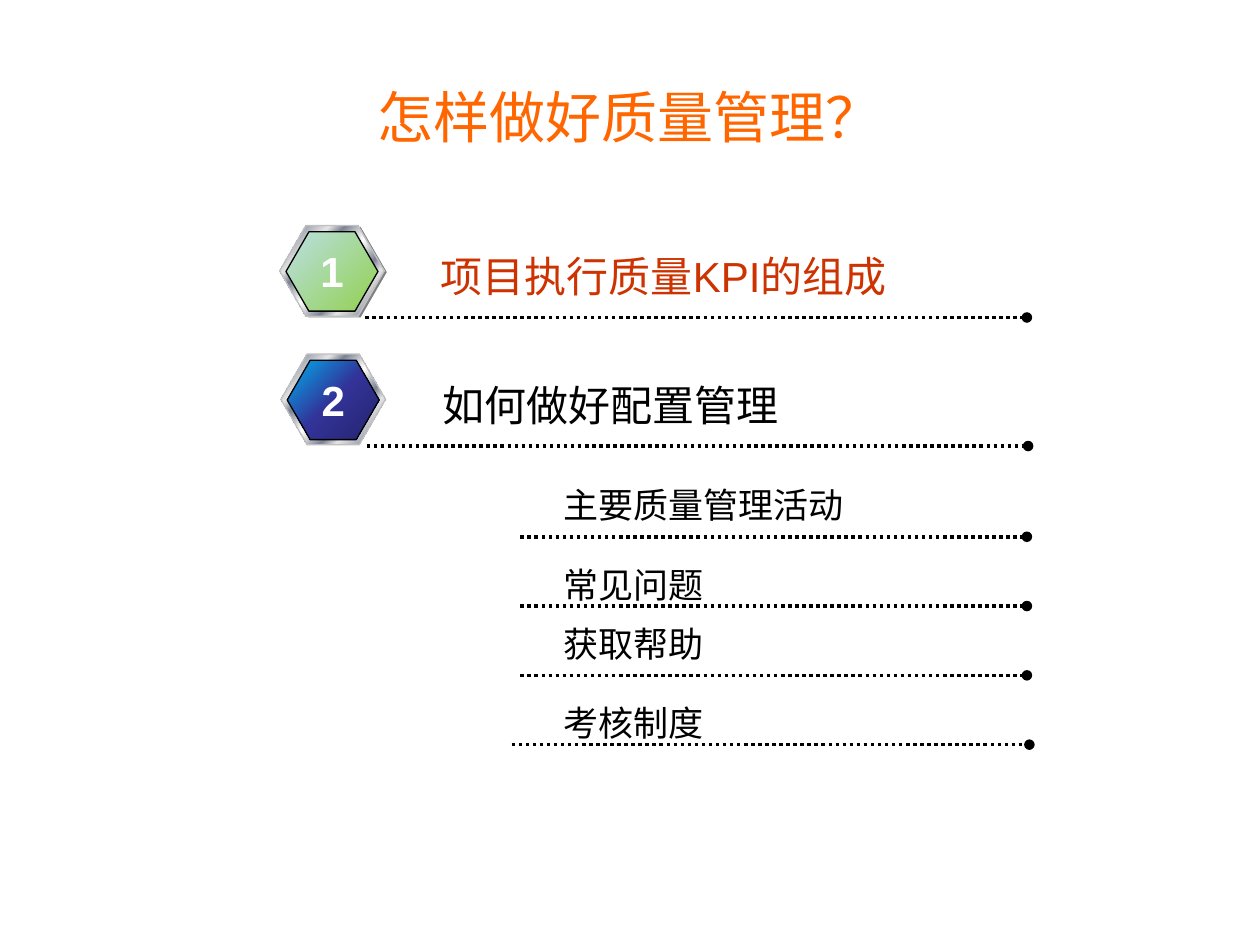
from lxml import etree
from pptx import Presentation
from pptx import util as u
from pptx.dml.color import RGBColor
from pptx.enum import dml, shapes, text
from pptx.oxml.ns import qn

INK = {"title": "FF6600", "hot": "CC3300", "text": "000000", "white": "FFFFFF",
       "rim": "C0C0C0", "shade": "808080"}
LIGHT, DARK = "E6E6E6", "7D8496"
METAL = [(0, LIGHT), (7, DARK), (26, LIGHT), (34, DARK), (46, LIGHT), (50, "FFFFFF"),
         (54, LIGHT), (66, DARK), (74, LIGHT), (93, DARK), (100, LIGHT)]
GREEN = [(0, "BBE0E3"), (100, "92D050")]
BLUE = [(0, "00B0F0"), (50, "333399"), (100, "24246D")]
CJK = "Noto Sans CJK SC"


class Deck:
    def __init__(self, slide):
        self.slide = slide

    def label(self, words, box, size, ink="text", face="Arial", home=None, frame=None, **font):
        """Add a text box; frame and font hold extra format values."""
        shape = (home or self.slide).shapes.add_textbox(*map(u.Inches, box))
        form = {"word_wrap": True, **(frame or {})}
        align = form.pop("align", text.PP_ALIGN.LEFT)
        for key, val in form.items():
            setattr(shape.text_frame, key, val)
        para = shape.text_frame.paragraphs[0]
        para.alignment = align
        run = para.add_run()
        run.text = words
        for key, val in {"size": u.Pt(size), "name": face, **font}.items():
            setattr(run.font, key, val)
        run.font.color.rgb = RGBColor.from_string(INK[ink])
        etree.SubElement(run.font._element, qn("a:ea"), typeface=CJK)

    def rule(self, left, right, y):
        """Add a dotted line that ends in a dot."""
        ends = map(u.Inches, (left, y, right, y))
        rule = self.slide.shapes.add_connector(shapes.MSO_CONNECTOR.STRAIGHT, *ends)
        rule.line.color.rgb = RGBColor.from_string(INK["text"])
        rule.line.width = u.Pt(2)
        rule.line.dash_style = dml.MSO_LINE.ROUND_DOT
        etree.SubElement(rule.line._get_or_add_ln(), qn("a:tailEnd"), type="oval")
        etree.SubElement(rule._element.spPr, qn("a:effectLst"))

    def hexa(self, home, box, stops=None, edge=None):
        """Add a hexagon, plain grey or with a diagonal gradient."""
        hexa = home.shapes.add_shape(shapes.MSO_SHAPE.HEXAGON, *map(u.Inches, box))
        hexa.adjustments[0] = 0.289
        hexa.shadow.inherit = False
        if stops:
            hexa.fill.gradient()
            hexa.fill.gradient_angle = 315
            ramp = hexa._element.spPr.find(qn("a:gradFill")).find(qn("a:gsLst"))
            for old in list(ramp):
                ramp.remove(old)
            for pos, tone in stops:
                stop = etree.SubElement(ramp, qn("a:gs"), pos=str(pos * 1000))
                etree.SubElement(stop, qn("a:srgbClr"), val=tone)
        else:
            hexa.fill.solid()
            hexa.fill.fore_color.rgb = RGBColor.from_string(INK["shade"])
        if edge:
            hexa.line.color.rgb = RGBColor.from_string(INK[edge])
            hexa.line.width = u.Pt(0.75)
        else:
            hexa.line.fill.background()

    def badge(self, num, x, y, stops, shade=False):
        """Add a numbered hexagon with a metal rim."""
        group = self.slide.shapes.add_group_shape()
        if shade:
            self.hexa(group, (x + 0.02, y + 0.01, 0.83, 0.72))
        self.hexa(group, (x, y, 0.83, 0.72), METAL, "rim")
        self.hexa(group, (x + 0.05, y + 0.05, 0.73, 0.63), stops, "text")
        self.label(num, (x + 0.22, y + 0.11, 0.39, 0.5), 24, "white", home=group, bold=True,
                   frame={"word_wrap": False, "align": text.PP_ALIGN.CENTER})


def main():
    prs = Presentation()
    prs.slide_width, prs.slide_height = u.Inches(10), u.Inches(7.5)
    deck = Deck(prs.slides.add_slide(prs.slide_layouts[6]))

    # Title
    deck.label("怎样做好质量管理？", (0.5, 0.3, 9, 1.25), 32, "title",
               frame={"vertical_anchor": text.MSO_ANCHOR.MIDDLE,
                      "align": text.PP_ALIGN.CENTER})

    # Main items: words, ink, left and top of badge, gradient, shade
    items = [("项目执行质量KPI的组成", "hot", 2.22, 1.79, GREEN, True),
             ("如何做好配置管理", "text", 2.23, 2.81, BLUE, False)]
    for num, (words, ink, x, y, stops, shade) in enumerate(items, 1):
        deck.rule(x + 0.68, x + 5.93, y + 0.73)
        deck.label(words, (x + 1.18, y + 0.15, 4.25, 0.5), 24, ink)
        deck.badge(str(num), x, y, stops, shade)

    # Sub-items: words, top of text, ends of rule
    subs = [("主要质量管理活动", 3.79, 4.13, 8.15), ("常见问题", 4.42, 4.13, 8.15),
            ("获取帮助", 4.89, 4.13, 8.15), ("考核制度", 5.52, 4.06, 8.17)]
    for row, (words, top, left, right) in enumerate(subs):
        deck.label(words, (4.37, top, 4.41, 0.43), 20, face=CJK)
        deck.rule(left, right, 4.26 + 0.55 * row)

    prs.save("out.pptx")


if __name__ == "__main__":
    main()
